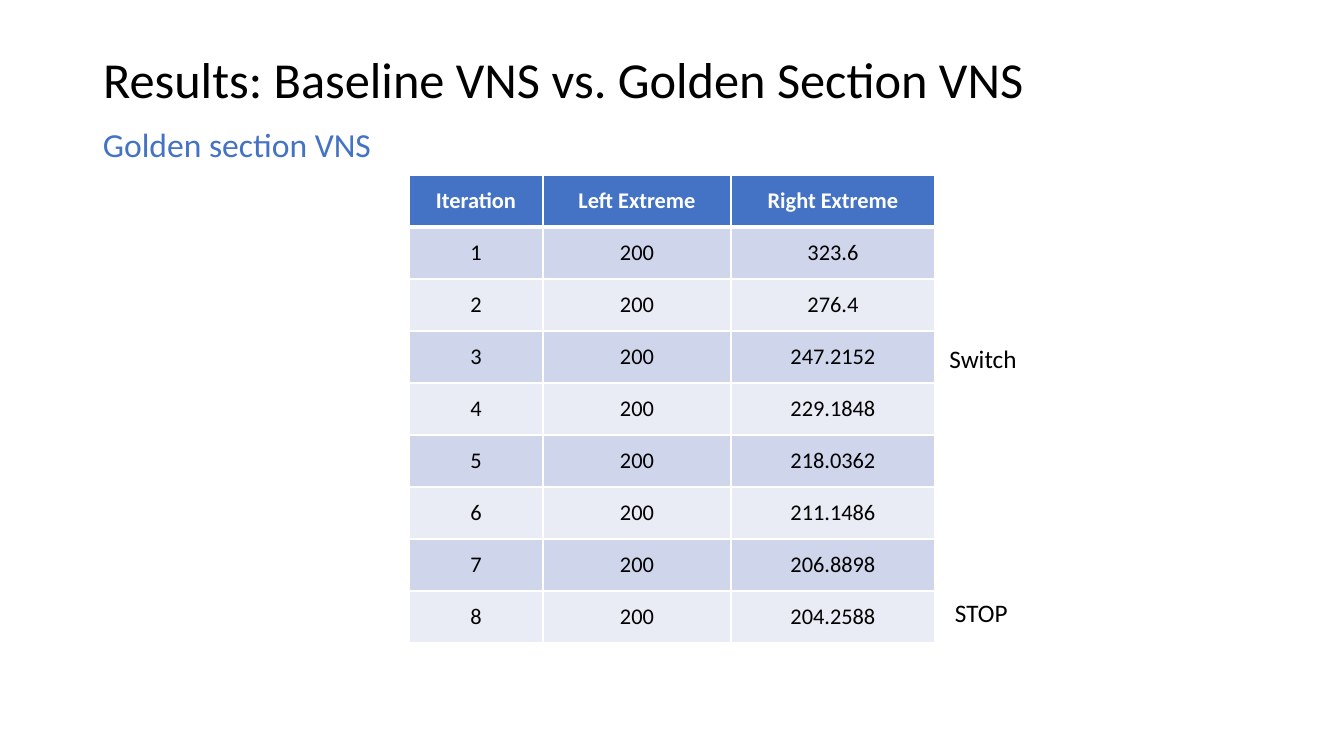
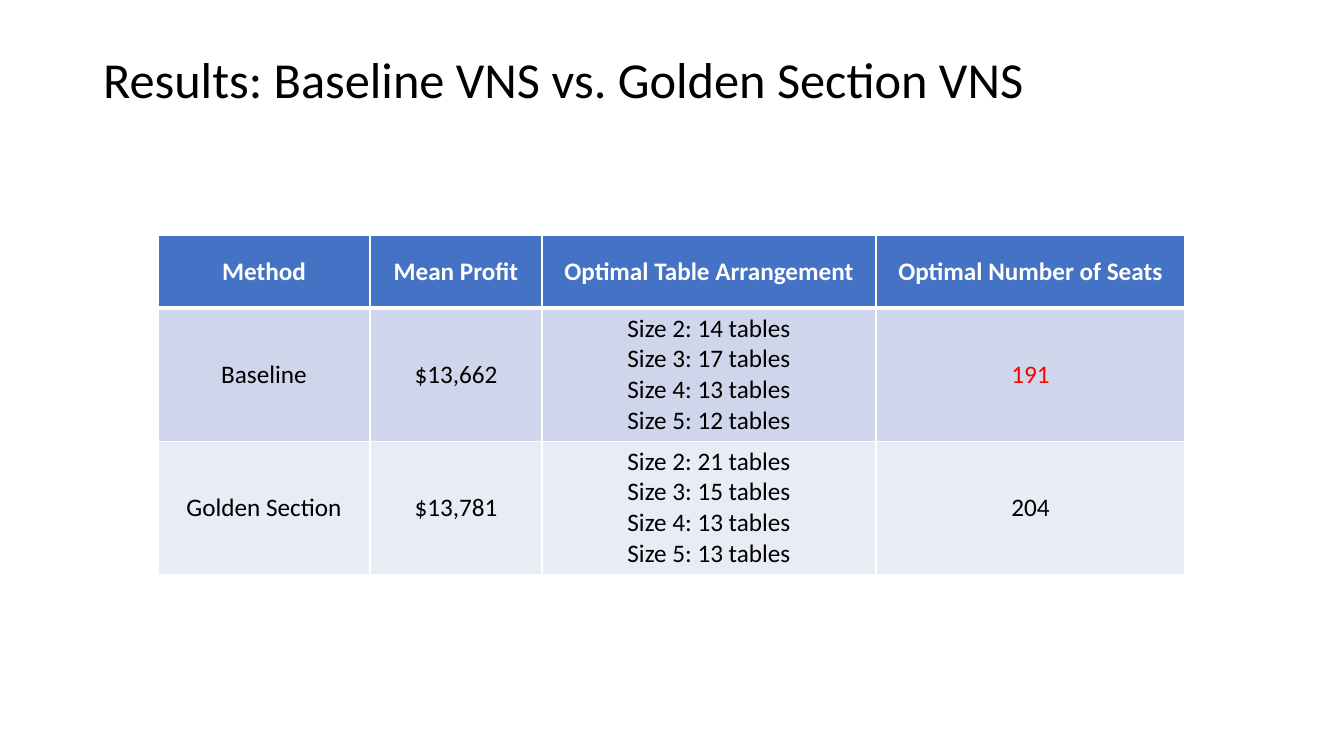
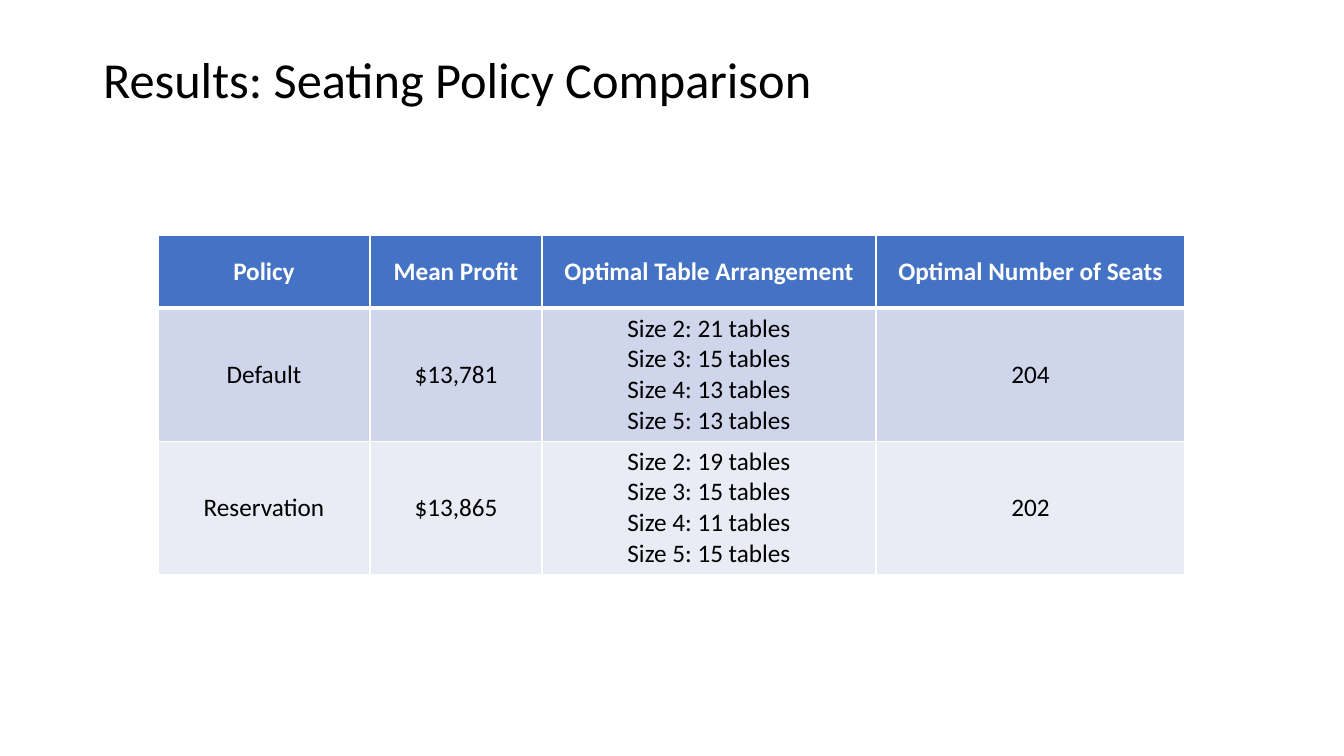
from lxml.etree import SubElement
from pptx import Presentation
from pptx.dml.color import RGBColor
from pptx.enum.text import MSO_ANCHOR, MSO_AUTO_SIZE, PP_ALIGN
from pptx.oxml.ns import qn
from pptx.util import Pt

# Shared look
SCALE = 914400 / 100.8
FONT = "Calibri"
BLUE, BLACK, WHITE, RED = "4472C4", "000000", "FFFFFF", "FF0000"
BANDS = ("CFD5EA", "E9EBF5")
LEFT, WIDTH = 93, 1159
VERSUS = "Results: Baseline VNS vs. Golden Section VNS"


def px(count):
    return round(count * SCALE)


def tint(code):
    return RGBColor.from_string(code)


def apply(item, values):
    for name, value in values.items():
        setattr(item, name, value)


def place(shape, box):
    sides = ("left", "top", "width", "height")
    apply(shape, dict(zip(sides, map(px, box))))


def write(frame, text, size, color=BLACK, bold=False, **format):
    frame.text = text
    for para in frame.paragraphs:
        apply(para, format)
        for run in para.runs:
            apply(run.font, {"name": FONT, "size": Pt(size), "bold": bold})
            run.font.color.rgb = tint(color)


def add_slide(deck, title):
    slide = deck.slides.add_slide(deck.slide_layouts[5])
    head = slide.shapes.title
    place(head, (LEFT, 40, WIDTH, 84))
    apply(head.text_frame, {"auto_size": MSO_AUTO_SIZE.NONE,
                            "vertical_anchor": MSO_ANCHOR.MIDDLE})
    write(head.text_frame, title, 36, alignment=PP_ALIGN.LEFT, line_spacing=0.9)
    return slide


def add_text(slide, box, text, size, color=BLACK, **format):
    frame = slide.shapes.add_textbox(*map(px, box)).text_frame
    frame.word_wrap = True
    write(frame, text, size, color, **format)


def edge(cell, row):
    """Draw white cell borders, thick where the header meets the body."""
    top, low = 3 if row == 1 else 1, 3 if row == 0 else 1
    for side, width in zip("LRTB", (1, 1, top, low)):
        line = SubElement(cell._tc.get_or_add_tcPr(), qn(f"a:ln{side}"),
                          w=str(Pt(width)))
        fill = SubElement(line, qn("a:solidFill"))
        SubElement(fill, qn("a:srgbClr"), val=WHITE)


def add_grid(slide, spot, cols, rows, data, size, marks={}):
    box = (*spot, sum(cols), sum(rows))
    grid = slide.shapes.add_table(len(rows), len(cols), *map(px, box)).table
    for col, width in zip(grid.columns, cols):
        col.width = px(width)
    for row, height in zip(grid.rows, rows):
        row.height = px(height)
    for r, line in enumerate(data):
        for c, text in enumerate(line):
            cell = grid.cell(r, c)
            edge(cell, r)
            cell.fill.solid()
            cell.fill.fore_color.rgb = tint(BANDS[(r - 1) % 2] if r else BLUE)
            cell.vertical_anchor = MSO_ANCHOR.MIDDLE
            color = marks.get((r, c), BLACK if r else WHITE)
            write(cell.text_frame, text, size, color, bold=r == 0,
                  alignment=PP_ALIGN.CENTER)


def sizes(*counts):
    return "\n".join(f"Size {n}: {count} tables"
                     for n, count in enumerate(counts, 2))


def add_match(deck, title, kind, body, marks={}):
    """Add a slide that compares two options in a table."""
    head = (kind, "Mean Profit", "Optimal Table Arrangement",
            "Optimal Number of Seats")
    add_grid(add_slide(deck, title), (158, 235), (212, 172, 334, 309),
             (73, 133, 133), (head, *body), 18, marks)


def add_search(deck):
    """Add the slide with the golden section steps."""
    slide = add_slide(deck, VERSUS)
    add_text(slide, (LEFT, 124, WIDTH, 50), "Golden section VNS", 24, BLUE,
             line_spacing=0.9, space_before=Pt(10))
    ends = ("323.6", "276.4", "247.2152", "229.1848", "218.0362", "211.1486",
            "206.8898", "204.2588")
    data = [("Iteration", "Left Extreme", "Right Extreme")]
    data += [(str(n), "200", end) for n, end in enumerate(ends, 1)]
    add_grid(slide, (409, 175), (134, 188, 204), [52] * len(data), data, 16)
    add_text(slide, (945, 592, 75, 40), "STOP", 18)
    add_text(slide, (935, 338, 96, 40), "Switch", 18, alignment=PP_ALIGN.CENTER)


def main():
    deck = Presentation()
    apply(deck, {"slide_width": px(1344), "slide_height": px(756)})
    add_search(deck)
    golden = ("$13,781", sizes(21, 15, 13, 13), "204")
    add_match(deck, VERSUS, "Method", (
        ("Baseline", "$13,662", sizes(14, 17, 13, 12), "191"),
        ("Golden Section", *golden)), {(1, 3): RED})
    add_match(deck, "Results: Seating Policy Comparison", "Policy", (
        ("Default", *golden),
        ("Reservation", "$13,865", sizes(19, 15, 11, 15), "202")))
    deck.save("out.pptx")


if __name__ == "__main__":
    main()
